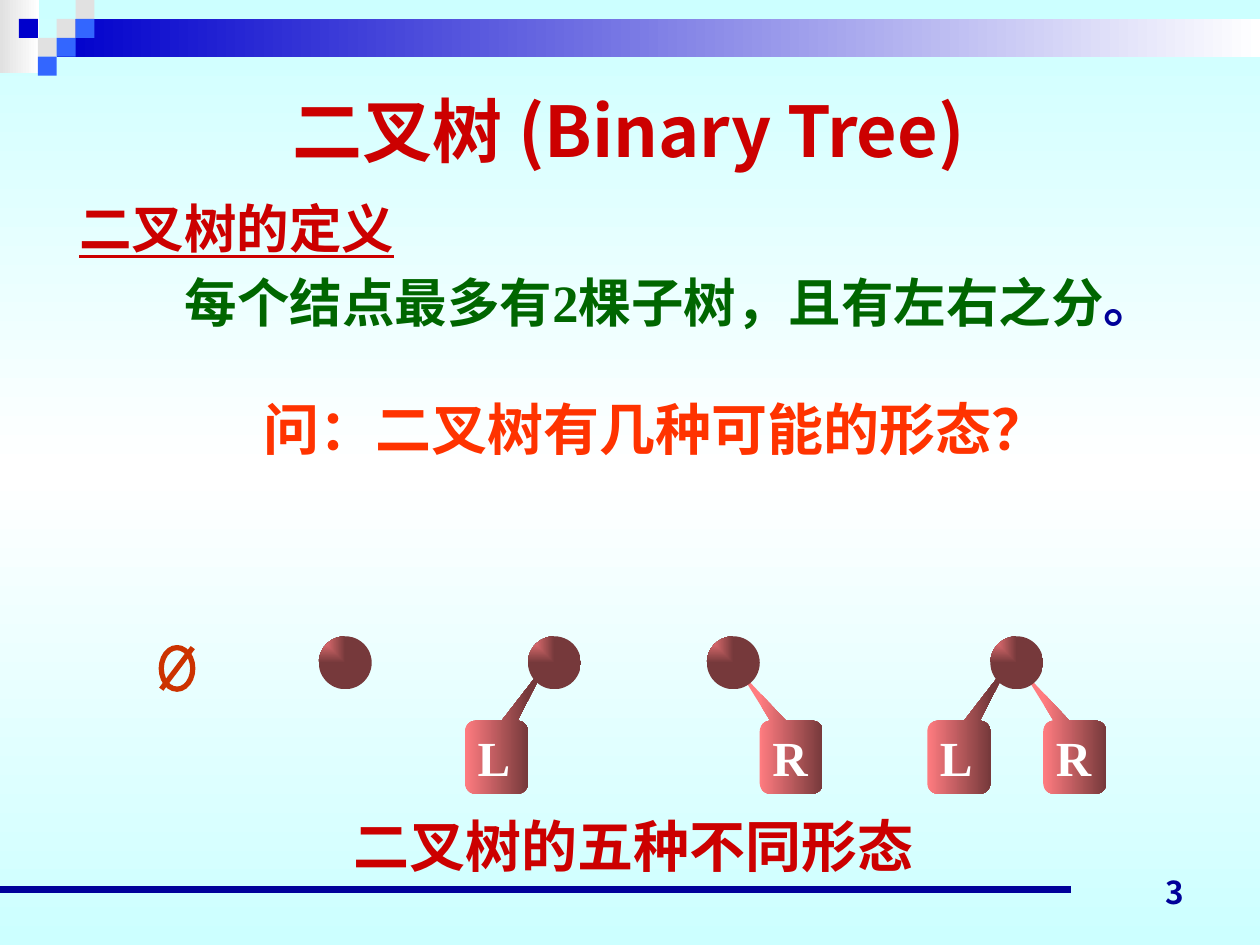
from dataclasses import dataclass
from typing import Optional

from lxml.etree import SubElement
from pptx import Presentation
from pptx.dml.color import RGBColor
from pptx.enum.shapes import MSO_CONNECTOR, MSO_SHAPE
from pptx.enum.text import MSO_ANCHOR, PP_ALIGN
from pptx.oxml import parse_xml
from pptx.oxml.ns import nsdecls, qn
from pptx.util import Inches, Pt


@dataclass(frozen=True)
class Theme:
    """Colours, fonts and type sizes of the slide."""
    sky: str = "CCFFFF"
    white: str = "FFFFFF"
    grey: str = "E1E1E1"
    blue: str = "0000CC"
    light_blue: str = "3366FF"
    navy: str = "000099"
    red: str = "CC0000"
    rust: str = "CC3300"
    orange: str = "FF3300"
    green: str = "006600"
    pink: str = "FF7C80"
    maroon: str = "76393B"
    sans: str = "Noto Sans CJK JP"
    serif: str = "Times New Roman"
    plain: str = "Arial"
    title_size: int = 40
    heading_size: int = 32
    body_size: int = 30
    letter_size: int = 28
    number_size: int = 18


@dataclass(frozen=True)
class Tree:
    """A root node with optional left and right subtrees."""
    left: float
    has_left: bool = False
    has_right: bool = False


@dataclass(frozen=True)
class Subtree:
    """A subtree callout, placed relative to its root node."""
    letter: str
    offset: float
    letter_width: float
    pointer: tuple


@dataclass(frozen=True)
class Label:
    """A one-line text with its box and look."""
    text: str
    box: tuple
    size: int
    font: str
    colour: str
    align: PP_ALIGN = PP_ALIGN.CENTER
    anchor: MSO_ANCHOR = MSO_ANCHOR.TOP
    wrap: bool = True


THEME = Theme()
CELL = 0.15
NODE_TOP, NODE_SIZE = 5.05, 0.42
SUBTREE_TOP, SUBTREE_WIDTH, SUBTREE_HEIGHT = 5.72, 0.5, 0.58
LEFT = Subtree("L", -0.5, 0.46, (0.819, -1.318, 0.167))
RIGHT = Subtree("R", 0.42, 0.48, (-0.83, -1.188, 0.167))
TREES = [Tree(2.53), Tree(4.19, has_left=True), Tree(5.61, has_right=True),
         Tree(7.86, has_left=True, has_right=True)]
# Column, row and colour of each corner square
SQUARES = [(3, 1, THEME.grey), (4, 0, THEME.grey), (4, 1, THEME.light_blue),
           (2, 2, THEME.grey), (1, 1, THEME.blue), (3, 2, THEME.light_blue),
           (2, 3, THEME.light_blue)]
LABELS = [
    Label("3", (7.17, 6.78, 2.33, 0.5), THEME.number_size, THEME.sans, THEME.navy,
          PP_ALIGN.RIGHT, MSO_ANCHOR.BOTTOM),
    Label("二叉树的五种不同形态", (1.53, 6.39, 7, 0.63), THEME.heading_size,
          THEME.serif, THEME.red),
    Label("问：二叉树有几种可能的形态？", (1.99, 3.08, 6.78, 0.63),
          THEME.heading_size, THEME.plain, THEME.orange, PP_ALIGN.LEFT),
]


def gradient(colours: list, direction: str):
    """Build a gradient fill with evenly spaced colours."""
    step = 100000 // (len(colours) - 1)
    stops = "".join(f'<a:gs pos="{i * step}"><a:srgbClr val="{colour}"/></a:gs>'
                    for i, colour in enumerate(colours))
    return parse_xml(f'<a:gradFill {nsdecls("a")} rotWithShape="1">'
                     f'<a:gsLst>{stops}</a:gsLst>{direction}</a:gradFill>')


def linear(degrees: int) -> str:
    """Describe a straight gradient."""
    return f'<a:lin ang="{degrees * 60000}" scaled="1"/>'


CORNER = '<a:path path="rect"><a:fillToRect r="100000" b="100000"/></a:path>'


def set_gradient(fill, owner, query: str, colours: list, direction: str) -> None:
    """Put a gradient where the fill of the owner is."""
    fill.solid()
    solid = owner.xpath(query)[0]
    solid.getparent().replace(solid, gradient(colours, direction))


def add_shape(page, kind, box: tuple, colours: list, direction: str = ""):
    """Add a shape without outline, in one colour or a gradient."""
    shape = page.shapes.add_shape(kind, *map(Inches, box))
    shape.shadow.inherit = False
    shape.line.fill.background()
    if not colours:
        shape.fill.background()
    elif len(colours) == 1:
        shape.fill.solid()
        shape.fill.fore_color.rgb = RGBColor.from_string(colours[0])
    else:
        set_gradient(shape.fill, shape._element, "./p:spPr/a:solidFill",
                     colours, direction)
    return shape


def set_line(shape, colour: str, width: float) -> None:
    """Colour an outline or a connector."""
    shape.line.color.rgb = RGBColor.from_string(colour)
    shape.line.width = Pt(width)


def add_line(page, start: tuple, end: tuple, colour: str, width: float) -> None:
    """Add a straight line without shadow."""
    line = page.shapes.add_connector(MSO_CONNECTOR.STRAIGHT,
                                     *map(Inches, start + end))
    set_line(line, colour, width)
    SubElement(line._element.spPr, qn("a:effectLst"))


def style(font, size: int, name: str, colour: Optional[str] = None) -> None:
    """Set a bold font."""
    font.size, font.name, font.bold = Pt(size), name, True
    if colour:
        font.color.rgb = RGBColor.from_string(colour)


def add_label(page, label: Label) -> None:
    """Add a text box with one paragraph."""
    box = page.shapes.add_textbox(*map(Inches, label.box))
    frame = box.text_frame
    frame.word_wrap, frame.vertical_anchor = label.wrap, label.anchor
    para = frame.paragraphs[0]
    para.text, para.alignment = label.text, label.align
    style(para.font, label.size, label.font, label.colour)


def add_title(page) -> None:
    """Place and format the title."""
    title = page.shapes.title
    title.left, title.top, title.width, title.height = map(
        Inches, (0.49, 0.48, 9, 1.1))
    title.text_frame.vertical_anchor = MSO_ANCHOR.MIDDLE
    para = title.text_frame.paragraphs[0]
    para.text, para.alignment = "二叉树 (Binary Tree)", PP_ALIGN.CENTER
    style(para.font, THEME.title_size, THEME.sans, THEME.red)


def add_definition(page) -> None:
    """Add the underlined heading and the definition below it."""
    box = page.shapes.add_textbox(*map(Inches, (0.24, 1.51, 9.53, 1.3)))
    frame = box.text_frame
    frame.word_wrap = True
    heading, sentence = frame.paragraphs[0], frame.add_paragraph()
    heading.text = "\t二叉树的定义"
    tabs = SubElement(heading._p.get_or_add_pPr(), qn("a:tabLst"))
    SubElement(tabs, qn("a:tab"), pos=str(Inches(0.29)), algn="l")
    style(heading.font, THEME.body_size, THEME.serif, THEME.red)
    heading.runs[0].font.underline = True
    sentence._p.get_or_add_pPr().set("marL", str(Inches(0.38)))
    sentence._p.get_or_add_pPr().set("indent", str(Inches(0.75)))
    style(sentence.font, THEME.body_size, THEME.serif)
    for text, colour in (("每个结点最多有2棵子树，且有左右之分", THEME.green),
                         ("。", THEME.navy)):
        span = sentence.add_run()
        span.text = text
        span.font.color.rgb = RGBColor.from_string(colour)
    for para in (heading, sentence):
        para.space_before = Pt(THEME.body_size * 0.2)


def add_decoration(page) -> None:
    """Draw the background, the top band, the corner squares and the rule."""
    set_gradient(page.background.fill, page._element, ".//p:bgPr/a:solidFill",
                 [THEME.sky, THEME.white, THEME.sky], linear(90))
    for box, colour in (((0, 0, 0.31, 0.58), THEME.grey),
                        ((3 * CELL, CELL, 9.55, 2 * CELL), THEME.blue)):
        add_shape(page, MSO_SHAPE.RECTANGLE, box, [colour, THEME.white], linear(0))
    for column, row, colour in SQUARES:
        add_shape(page, MSO_SHAPE.RECTANGLE,
                  (column * CELL, row * CELL, CELL, CELL), [colour])
    add_line(page, (0, 7.06), (8.5, 7.06), THEME.navy, 4.5)


def add_empty_tree(page) -> None:
    """Draw the empty-set sign."""
    ring = add_shape(page, MSO_SHAPE.OVAL, (1.28, 5.14, 0.25, 0.33), [])
    set_line(ring, THEME.rust, 3)
    add_line(page, (1.53, 5.14), (1.28, 5.47), THEME.rust, 3)


def add_tree(page, tree: Tree) -> None:
    """Draw the subtrees of a tree, then its root node."""
    colours = [THEME.pink, THEME.maroon]
    for subtree, present in ((LEFT, tree.has_left), (RIGHT, tree.has_right)):
        if not present:
            continue
        left = tree.left + subtree.offset
        callout = add_shape(page, MSO_SHAPE.ROUNDED_RECTANGULAR_CALLOUT,
                            (left, SUBTREE_TOP, SUBTREE_WIDTH, SUBTREE_HEIGHT),
                            colours, linear(0))
        for i, value in enumerate(subtree.pointer):
            callout.adjustments[i] = value
        add_label(page, Label(subtree.letter,
                              (left, SUBTREE_TOP, subtree.letter_width, 0.57),
                              THEME.letter_size, THEME.serif, THEME.white,
                              anchor=MSO_ANCHOR.MIDDLE, wrap=False))
    add_shape(page, MSO_SHAPE.OVAL, (tree.left, NODE_TOP, NODE_SIZE, NODE_SIZE),
              colours, CORNER)


def main() -> None:
    """Build and save the slide."""
    deck = Presentation()
    deck.slide_width, deck.slide_height = Inches(10), Inches(7.5)
    page = deck.slides.add_slide(deck.slide_layouts[5])
    add_decoration(page)
    add_title(page)
    add_definition(page)
    for label in LABELS:
        add_label(page, label)
    add_empty_tree(page)
    for tree in TREES:
        add_tree(page, tree)
    deck.save("out.pptx")


main()
